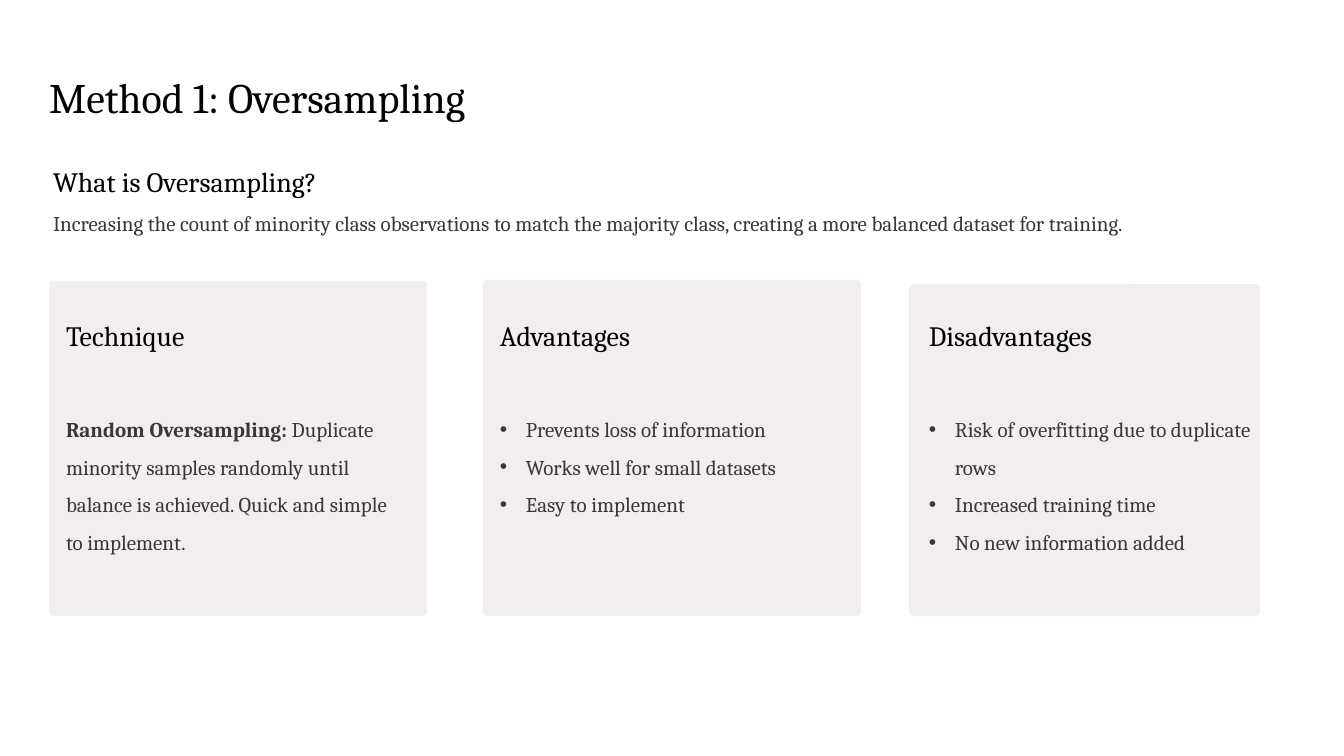
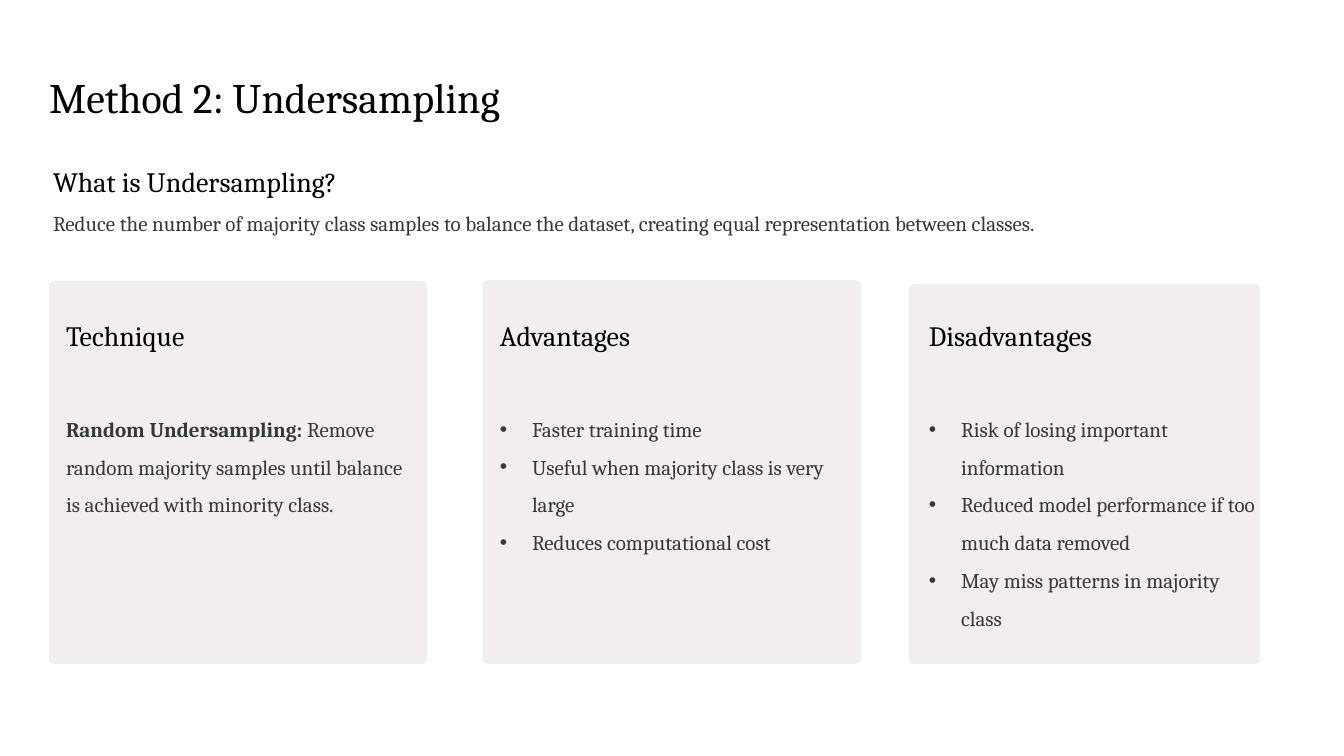
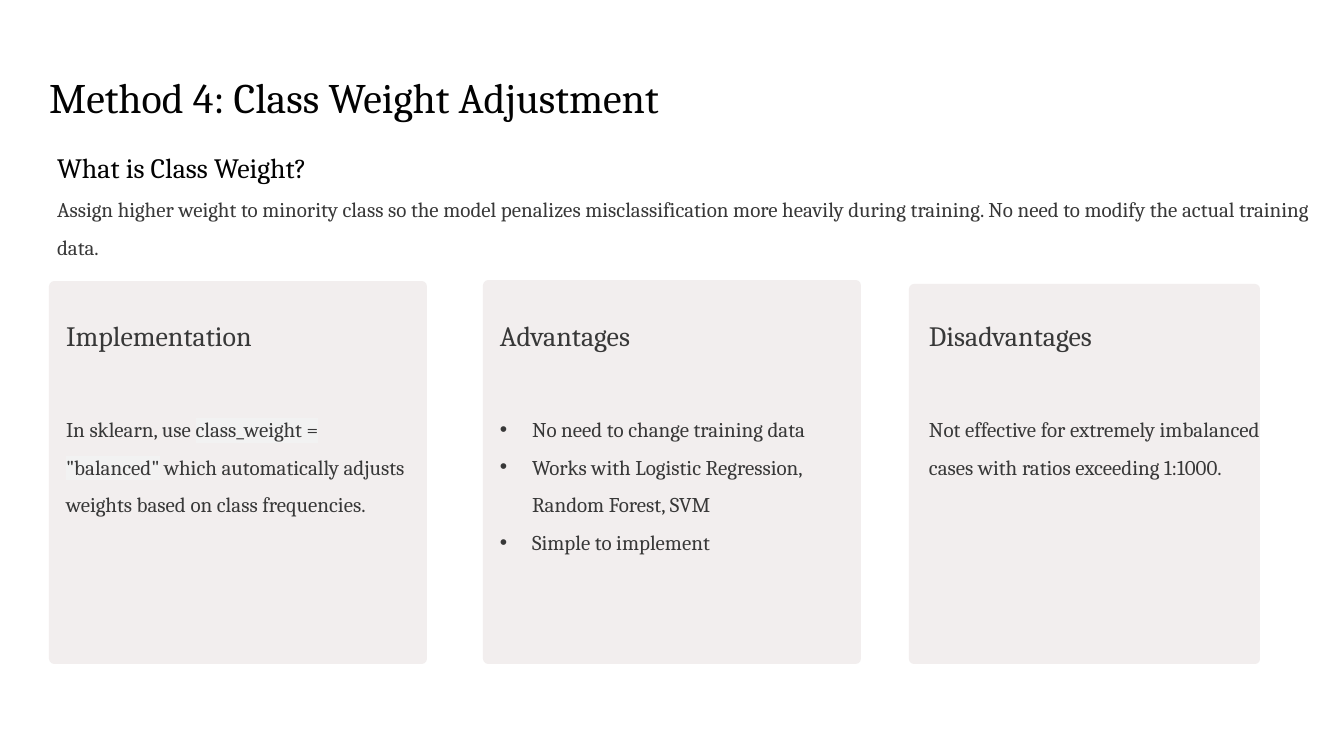
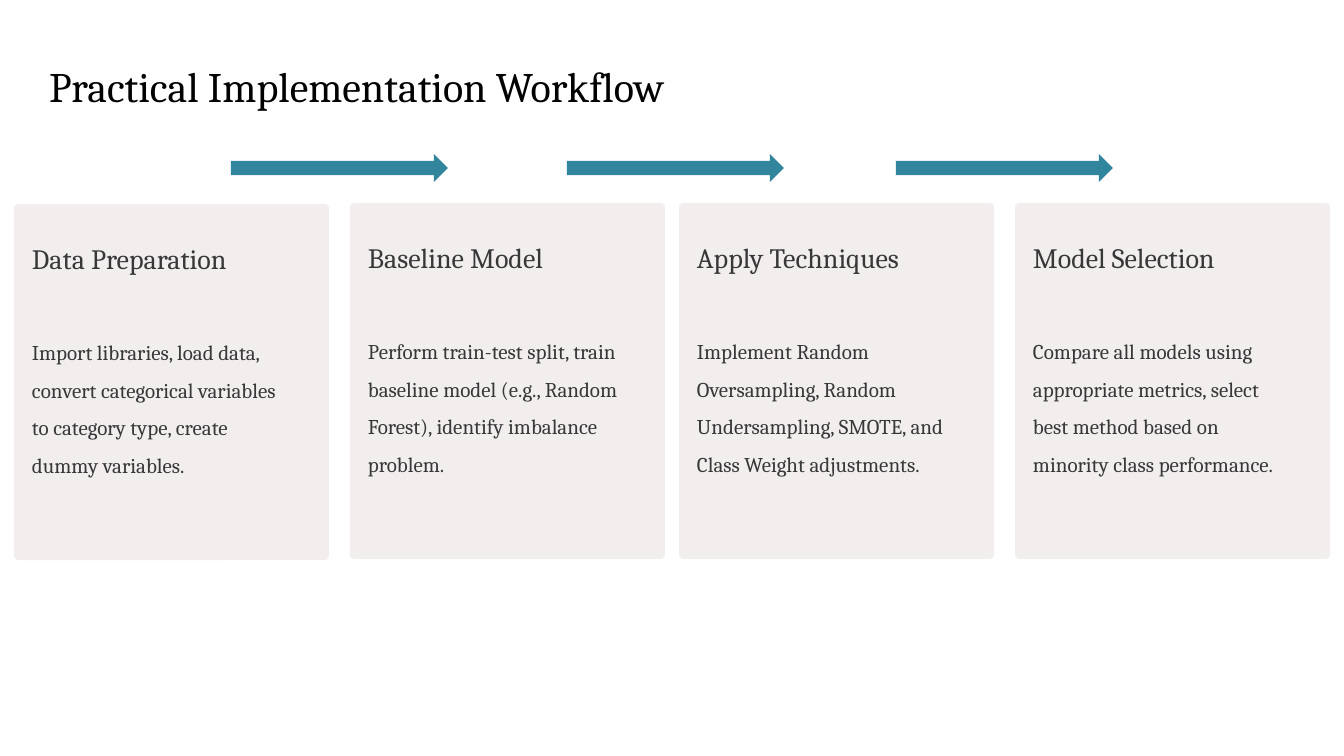
"""Build four slides on methods for imbalanced classification data."""
from dataclasses import dataclass

from lxml.etree import SubElement
from pptx import Presentation
from pptx.dml.color import RGBColor
from pptx.enum.shapes import MSO_SHAPE as Preset
from pptx.enum.text import MSO_AUTO_SIZE as AutoSize
from pptx.oxml.ns import qn
from pptx.shapes.autoshape import Shape
from pptx.slide import Slide
from pptx.text.text import TextFrame, _Paragraph as Paragraph
from pptx.util import Emu, Pt

EMU_PER_PX = 914400 / 84
FONT = "Cambria"
INK = RGBColor(0x02, 0x02, 0x02)
GRAY = RGBColor(0x38, 0x38, 0x38)
CARD_FILL = RGBColor(0xF2, 0xEE, 0xEE)
TEAL = RGBColor(0x31, 0x85, 0x9C)
CODE_HIGHLIGHT = "F2F2F2"
TITLE_SIZE, HEADING_SIZE, BODY_SIZE = 36, 24, 18
LINE_SPACING = 1.5
BODY_GAP = Pt(44)
CARD_CORNER = 0.014
STEP_WIDTH = 315
ARROW_OFFSET = 217


@dataclass(frozen=True)
class Box:
    left: int
    top: int
    width: int
    height: int


@dataclass(frozen=True)
class Span:
    text: str
    bold: bool = False
    highlight: bool = False


@dataclass(frozen=True)
class Section:
    heading: str
    paragraphs: tuple[tuple[Span, ...], ...]
    indent: int = 0


@dataclass(frozen=True)
class Column:
    left: int
    top: int
    width: int
    text: Box


@dataclass(frozen=True)
class Method:
    title: str
    question: str
    answer: str
    sections: tuple[Section, ...]
    card_bottom: int
    heading_color: RGBColor = INK
    intro: Box = Box(45, 144, 1288, 132)


@dataclass(frozen=True)
class Step:
    left: int
    top: int
    heading: str
    body: str


def prose(heading: str, *spans: Span) -> Section:
    """Return a section with one plain paragraph."""
    return Section(heading, (spans,))


def bullets(heading: str, indent: int, *items: str) -> Section:
    """Return a section with a bulleted list."""
    return Section(heading, tuple((Span(item),) for item in items), indent)


COLUMNS = (
    Column(49, 281, 378, Box(66, 302, 341, 228)),
    Column(483, 280, 378, Box(500, 302, 331, 447)),
    Column(909, 284, 351, Box(929, 302, 331, 213)),
)

METHODS = (
    Method(
        "Method 1: Oversampling",
        "What is Oversampling?",
        "Increasing the count of minority class observations to match the majority class, "
        "creating a more balanced dataset for training.",
        (
            prose(
                "Technique",
                Span("Random Oversampling:", bold=True),
                Span(" Duplicate minority samples randomly until balance is achieved. "
                     "Quick and simple to implement."),
            ),
            bullets("Advantages", 26, "Prevents loss of information",
                    "Works well for small datasets", "Easy to implement"),
            bullets("Disadvantages", 26, "Risk of overfitting due to duplicate rows",
                    "Increased training time", "No new information added"),
        ),
        616,
    ),
    Method(
        "Method 2: Undersampling",
        "What is Undersampling?",
        "Reduce the number of majority class samples to balance the dataset, "
        "creating equal representation between classes.",
        (
            prose(
                "Technique",
                Span("Random Undersampling:", bold=True),
                Span(" Remove random majority samples until balance is achieved "
                     "with minority class."),
            ),
            bullets("Advantages", 32, "Faster training time",
                    "Useful when majority class is very large", "Reduces computational cost"),
            bullets("Disadvantages", 32, "Risk of losing important information",
                    "Reduced model performance if too much data removed",
                    "May miss patterns in majority class"),
        ),
        664,
    ),
    Method(
        "Method 4: Class Weight Adjustment",
        "What is Class Weight?",
        "Assign higher weight to minority class so the model penalizes misclassification "
        "more heavily during training. No need to modify the actual training data.",
        (
            prose(
                "Implementation",
                Span("In sklearn, use "),
                Span('class_weight = "balanced"', highlight=True),
                Span(" which automatically adjusts weights based on class frequencies."),
            ),
            bullets("Advantages", 32, "No need to change training data",
                    "Works with Logistic Regression, Random Forest, SVM",
                    "Simple to implement"),
            prose(
                "Disadvantages",
                Span("Not effective for extremely imbalanced cases with ratios "
                     "exceeding 1:1000."),
            ),
        ),
        664,
        GRAY,
        Box(49, 130, 1288, 170),
    ),
)

STEPS = (
    Step(14, 204, "Data Preparation",
         "Import libraries, load data, convert categorical variables to category type, "
         "create dummy variables."),
    Step(350, 203, "Baseline Model",
         "Perform train-test split, train baseline model (e.g., Random Forest), "
         "identify imbalance problem."),
    Step(679, 203, "Apply Techniques",
         "Implement Random Oversampling, Random Undersampling, SMOTE, and "
         "Class Weight adjustments."),
    Step(1015, 203, "Model Selection",
         "Compare all models using appropriate metrics, select best method based on "
         "minority class performance."),
)


def px(length: int) -> Emu:
    """Convert pixels to EMU."""
    return Emu(round(length * EMU_PER_PX))


def place(box: Box) -> tuple[Emu, Emu, Emu, Emu]:
    """Return the box in EMU."""
    return px(box.left), px(box.top), px(box.width), px(box.height)


def add_span(paragraph: Paragraph, span: Span, size: int, color: RGBColor) -> None:
    """Append one styled run to a paragraph."""
    run = paragraph.add_run()
    run.text = span.text
    run.font.size = Pt(size)
    run.font.bold = span.bold
    run.font.color.rgb = color
    run.font.name = FONT
    if span.highlight:
        properties = run.font._element
        highlight = SubElement(properties, qn("a:highlight"))
        SubElement(highlight, qn("a:srgbClr"), val=CODE_HIGHLIGHT)
        properties.find(qn("a:latin")).addprevious(highlight)


def add_bullet(paragraph: Paragraph, indent: int) -> None:
    """Give a paragraph a hanging bullet."""
    properties = paragraph._p.get_or_add_pPr()
    properties.set("marL", str(px(indent)))
    properties.set("indent", str(-px(indent)))
    SubElement(properties, qn("a:buFont"), typeface="Arial")
    SubElement(properties, qn("a:buChar"), char="•")


def add_text_frame(slide: Slide, box: Box, inset_top: int = 0, inset: int = 0) -> TextFrame:
    """Add a wrapping text box and return its frame."""
    frame = slide.shapes.add_textbox(*place(box)).text_frame
    frame.word_wrap = True
    frame.margin_left = frame.margin_right = px(inset)
    frame.margin_top, frame.margin_bottom = px(inset_top), px(0)
    return frame


def add_heading(frame: TextFrame, heading: str, color: RGBColor) -> None:
    """Write the heading in the first paragraph."""
    paragraph = frame.paragraphs[0]
    paragraph.line_spacing = LINE_SPACING
    add_span(paragraph, Span(heading), HEADING_SIZE, color)


def add_body(frame: TextFrame, spans: tuple[Span, ...], indent: int = 0) -> Paragraph:
    """Append a body paragraph, bulleted when it has an indent."""
    paragraph = frame.add_paragraph()
    paragraph.line_spacing = LINE_SPACING
    if indent:
        add_bullet(paragraph, indent)
    for span in spans:
        add_span(paragraph, span, BODY_SIZE, GRAY)
    return paragraph


def add_preset(slide: Slide, preset: Preset, box: Box, color: RGBColor) -> Shape:
    """Add a flat filled shape without outline."""
    shape = slide.shapes.add_shape(preset, *place(box))
    shape.shadow.inherit = False
    shape.fill.solid()
    shape.fill.fore_color.rgb = color
    shape.line.fill.background()
    return shape


def add_title(slide: Slide, title: str, top: int) -> None:
    """Add the slide title."""
    frame = add_text_frame(slide, Box(49, top, 1254, 97), inset_top=40)
    frame.auto_size = AutoSize.SHAPE_TO_FIT_TEXT
    paragraph = frame.paragraphs[0]
    paragraph.line_spacing = Pt(51)
    add_span(paragraph, Span(title), TITLE_SIZE, INK)


def add_card(slide: Slide, card: Box, text: Box, section: Section, color: RGBColor) -> None:
    """Add a card with its heading and body."""
    add_preset(slide, Preset.ROUNDED_RECTANGLE, card, CARD_FILL).adjustments[0] = CARD_CORNER
    frame = add_text_frame(slide, text)
    add_heading(frame, section.heading, color)
    for index, spans in enumerate(section.paragraphs):
        paragraph = add_body(frame, spans, section.indent)
        if index == 0:
            paragraph.space_before = BODY_GAP


def add_method(slide: Slide, method: Method) -> None:
    """Fill a slide that explains one method."""
    add_title(slide, method.title, 22)
    intro = add_text_frame(slide, method.intro, inset_top=4, inset=8)
    add_heading(intro, method.question, INK)
    add_body(intro, (Span(method.answer),))
    for column, section in zip(COLUMNS, method.sections):
        card = Box(column.left, column.top, column.width, method.card_bottom - column.top)
        add_card(slide, card, column.text, section, method.heading_color)


def add_workflow(slide: Slide) -> None:
    """Fill the slide with the workflow steps."""
    add_title(slide, "Practical Implementation Workflow", 11)
    for step in STEPS:
        card = Box(step.left, step.top, STEP_WIDTH, 356)
        text = Box(step.left + 18, step.top + 21, 262, 228)
        add_card(slide, card, text, prose(step.heading, Span(step.body)), GRAY)
    for step in STEPS[:-1]:
        arrow = Box(step.left + ARROW_OFFSET, 154, 217, 28)
        add_preset(slide, Preset.RIGHT_ARROW, arrow, TEAL)


def main() -> None:
    """Build and save the presentation."""
    deck = Presentation()
    deck.slide_width, deck.slide_height = px(1344), px(756)
    blank = deck.slide_layouts[6]
    for method in METHODS:
        add_method(deck.slides.add_slide(blank), method)
    add_workflow(deck.slides.add_slide(blank))
    deck.save("out.pptx")


if __name__ == "__main__":
    main()
